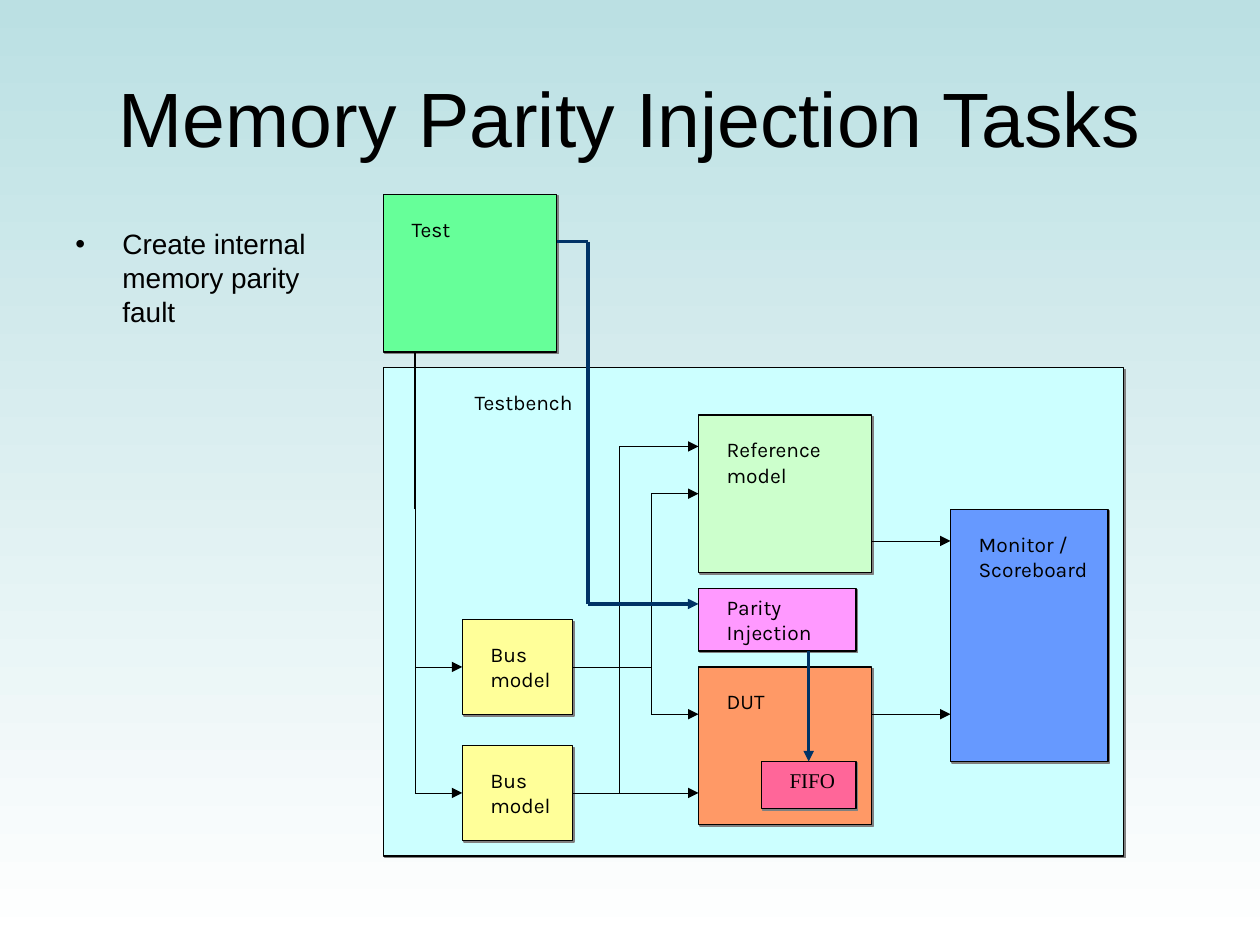
"""Build the memory parity injection slide with its testbench block diagram."""
from lxml import etree
from pptx import Presentation
from pptx import util as u
from pptx.dml.color import RGBColor
from pptx.enum import shapes, text
from pptx.oxml import ns

BLACK = RGBColor(0x00, 0x00, 0x00)
WHITE = RGBColor(0xFF, 0xFF, 0xFF)
NAVY = RGBColor(0x00, 0x33, 0x66)
GREY = RGBColor(0x80, 0x80, 0x80)
SKY = RGBColor(0xBB, 0xE0, 0xE3)
CYAN = RGBColor(0xCC, 0xFF, 0xFF)
ORANGE = RGBColor(0xFF, 0x99, 0x66)
MINT = RGBColor(0xCC, 0xFF, 0xCC)
BLUE = RGBColor(0x66, 0x99, 0xFF)
YELLOW = RGBColor(0xFF, 0xFF, 0x99)
GREEN = RGBColor(0x66, 0xFF, 0x99)
VIOLET = RGBColor(0xFF, 0x99, 0xFF)
PINK = RGBColor(0xFF, 0x66, 0x99)
GRID = 1.27 / 4
LEFT, TOP = 7.73, 3.92


def add_xml(parent, tag, **attributes):
    return etree.SubElement(parent, ns.qn(tag), attributes)


def write(shape, content, size=12, font="Karla", align=text.PP_ALIGN.LEFT,
          anchor=text.MSO_ANCHOR.TOP, bullet=False):
    frame = shape.text_frame
    frame.word_wrap = True
    frame.vertical_anchor = anchor
    frame.text = content
    for paragraph in frame.paragraphs:
        paragraph.alignment = align
        if bullet:
            properties = paragraph._p.get_or_add_pPr()
            indent = u.Cm(0.95)
            properties.set("marL", str(indent))
            properties.set("indent", str(-indent))
            add_xml(properties, "a:buFont", typeface="Arial")
            add_xml(properties, "a:buChar", char="•")
        for run in paragraph.runs:
            run.font.size = u.Pt(size)
            run.font.name = font
            run.font.color.rgb = BLACK


def grid_point(column, row):
    return u.Cm(LEFT + column * GRID), u.Cm(TOP + row * GRID)


def grid_size(columns, rows):
    return u.Cm(columns * GRID), u.Cm(rows * GRID)


class Diagram:
    def __init__(self, slide, border=0.75):
        self.slide = slide
        self.border = border

    def background(self, top, bottom):
        fill = self.slide.background.fill
        fill.gradient()
        fill.gradient_angle = 270
        for stop, color in zip(fill.gradient_stops, (top, bottom)):
            stop.color.rgb = color

    def textbox(self, content, left, top, width, height, **style):
        shape = self.slide.shapes.add_textbox(left, top, width, height)
        write(shape, content, **style)

    def label(self, content, column, row, columns, rows, **style):
        self.textbox(content, *grid_point(column, row), *grid_size(columns, rows), **style)

    def block(self, color, column, row, columns, rows):
        shape = self.slide.shapes.add_shape(
            shapes.MSO_SHAPE.RECTANGLE, *grid_point(column, row), *grid_size(columns, rows))
        shape.fill.solid()
        shape.fill.fore_color.rgb = color
        shape.line.color.rgb = BLACK
        shape.line.width = u.Pt(self.border)
        shape.shadow.inherit = False
        effects = shape._element.spPr.find(ns.qn("a:effectLst"))
        shadow = add_xml(effects, "a:outerShdw", dist=str(u.Pt(1.4)), dir="2700000",
                         algn="ctr", rotWithShape="0")
        add_xml(shadow, "a:srgbClr", val=str(GREY))
        return shape

    def line(self, start, end, color=BLACK, width=0.5, arrow=False, source=None, target=None):
        connector = self.slide.shapes.add_connector(
            shapes.MSO_CONNECTOR.STRAIGHT, *grid_point(*start), *grid_point(*end))
        if source:
            connector.begin_connect(*source)
        if target:
            connector.end_connect(*target)
        connector.line.color.rgb = color
        connector.line.width = u.Pt(width)
        properties = connector._element.spPr
        if arrow:
            add_xml(properties.find(ns.qn("a:ln")), "a:tailEnd", type="triangle")
        add_xml(properties, "a:effectLst")


def main():
    presentation = Presentation()
    presentation.slide_width, presentation.slide_height = u.Cm(25.4), u.Cm(19.05)
    diagram = Diagram(presentation.slides.add_slide(presentation.slide_layouts[6]))
    diagram.background(SKY, WHITE)
    diagram.textbox("Memory Parity Injection Tasks", u.Cm(1.27), u.Cm(0.76), u.Cm(22.86),
                    u.Cm(3.18), size=44, font="Arial", align=text.PP_ALIGN.CENTER,
                    anchor=text.MSO_ANCHOR.MIDDLE)
    diagram.textbox("Create internal memory parity fault", u.Cm(1.27), u.Cm(4.45),
                    u.Cm(6.15), u.Cm(12.57), size=16, font="Arial", bullet=True)

    diagram.block(CYAN, 0, 11, 47, 31)
    diagram.block(ORANGE, 20, 30, 11, 10)
    diagram.block(MINT, 20, 14, 11, 10)
    diagram.block(BLUE, 36, 20, 10, 16)
    bus_models = [(row, diagram.block(YELLOW, 5, row - 3, 7, 6)) for row in (30, 38)]
    diagram.block(GREEN, 0, 0, 11, 10)

    diagram.label("Test", 1, 1, 6, 3)
    diagram.label("Reference model", 21, 15, 9, 4)
    diagram.label("Monitor /\nScoreboard", 37, 21, 9, 10)
    diagram.label("DUT", 21, 31, 5, 3)
    diagram.label("Testbench", 5, 12, 8, 3)

    diagram.line((2, 20), (2, 10), width=0.75)
    diagram.line((2, 20), (2, 30))
    diagram.line((2, 30), (2, 38))
    for (row, bus_model), column in zip(bus_models, (17, 15)):
        diagram.label("Bus model", 6, row - 2, 6, 4)
        diagram.line((2, row), (5, row), arrow=True, target=(bus_model, 1))
        diagram.line((12, row), (column, row), source=(bus_model, 3))
    diagram.line((17, 19), (17, 33))
    diagram.line((15, 38), (15, 16))
    for start, end, row in ((17, 20, 19), (17, 20, 33), (15, 20, 38),
                            (15, 20, 16), (31, 36, 33), (31, 36, 22)):
        diagram.line((start, row), (end, row), arrow=True)

    diagram.block(VIOLET, 20, 25, 10, 4)
    diagram.label("Parity Injection", 21, 25, 10, 4)
    fifo = diagram.block(PINK, 24, 36, 6, 3)
    diagram.label("FIFO", 25, 36, 5, 3, font="Times New Roman")
    injection = {"color": NAVY, "width": 2}
    diagram.line((11, 3), (13, 3), **injection)
    diagram.line((13, 3), (13, 26), **injection)
    diagram.line((13, 26), (20, 26), arrow=True, **injection)
    diagram.line((27, 29), (27, 36), arrow=True, target=(fifo, 0), **injection)
    presentation.save("out.pptx")


if __name__ == "__main__":
    main()
